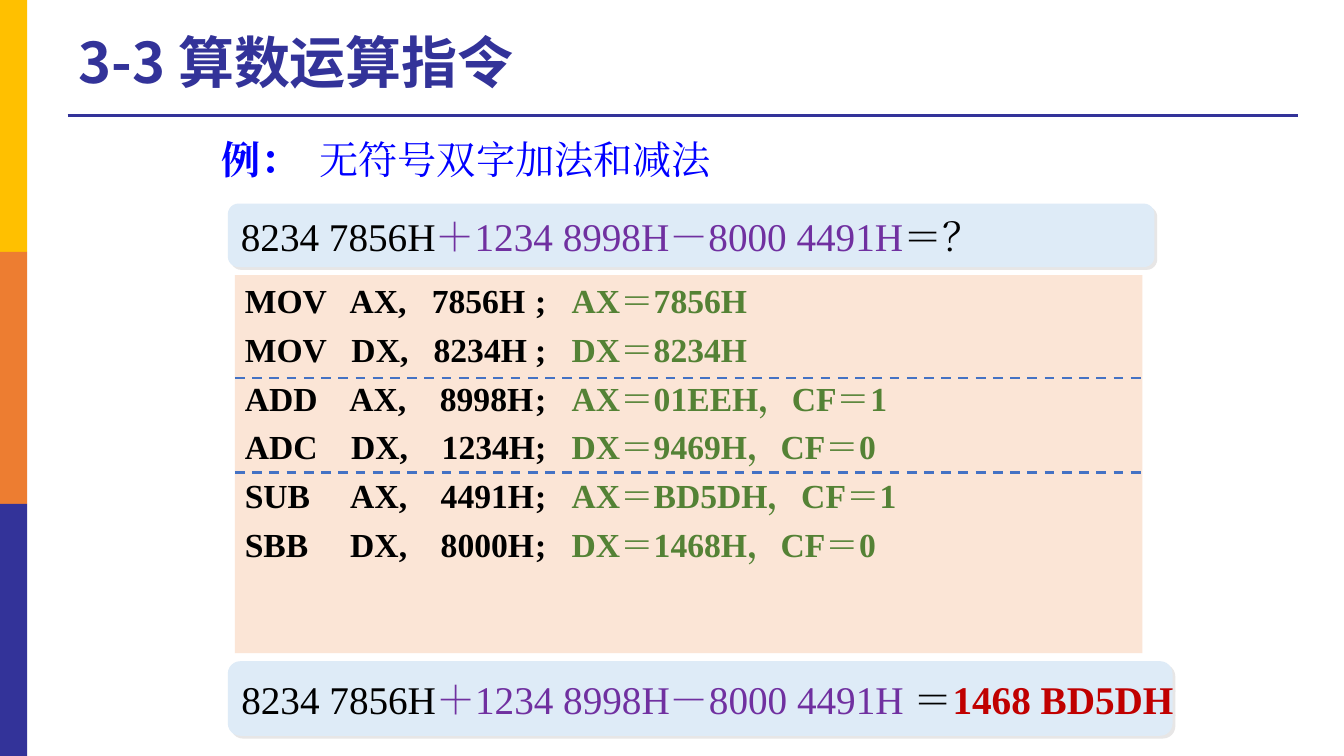
from lxml import etree
from pptx import Presentation
from pptx.dml.color import RGBColor
from pptx.enum.dml import MSO_LINE
from pptx.enum.shapes import MSO_CONNECTOR, MSO_SHAPE
from pptx.enum.text import MSO_ANCHOR, PP_ALIGN
from pptx.oxml.ns import qn
from pptx.util import Inches, Pt

RECT, ROUNDED = MSO_SHAPE.RECTANGLE, MSO_SHAPE.ROUNDED_RECTANGLE
STRAIGHT, DASH = MSO_CONNECTOR.STRAIGHT, MSO_LINE.DASH
MIDDLE, TOP, LEFT = MSO_ANCHOR.MIDDLE, MSO_ANCHOR.TOP, PP_ALIGN.LEFT

# Content
SERIF, SANS = "Times New Roman", "Noto Sans CJK SC"
NAVY, BLUE, BLACK = "333399", "0000FF", "000000"
PURPLE, GREEN, RED = "7030A0", "548235", "C00000"
SIDE_COLORS = ["FFC000", "ED7D31", NAVY]
TITLE = "3-3 算数运算指令"
EXAMPLE = [("例：  ", BLUE, True), ("无符号双字加法和减法", BLUE, False)]
QUESTION = [("8234 7856H", BLACK, False),
            ("＋1234 8998H－8000 4491H", PURPLE, False),
            ("＝？", BLACK, False)]
ANSWER = [("8234 7856H", BLACK, False),
          ("＋1234 8998H－8000 4491H ", PURPLE, False),
          ("＝", BLACK, False), ("1468 BD5DH", RED, True)]
PROGRAM = [
    ("MOV   AX,   7856H", "AX＝7856H"),
    ("MOV   DX,   8234H", "DX＝8234H"),
    ("ADD    AX,    8998H", "AX＝01EEH，CF＝1"),
    ("ADC    DX,    1234H", "DX＝9469H，CF＝0"),
    ("SUB     AX,    4491H", "AX＝BD5DH，CF＝1"),
    ("SBB     DX,    8000H", "DX＝1468H，CF＝0"),
]
CODE_LEFT, CODE_TOP, CODE_WIDTH, CODE_HEIGHT = 2.33, 2.73, 9, 3.75
DIVIDERS = [3.75, 4.69]


def color(hex_string):
    return RGBColor.from_string(hex_string)


def set_font(para, name, size):
    para.font.name, para.font.size = name, Pt(size)
    defaults = para._p.pPr.find(qn("a:defRPr"))
    etree.SubElement(defaults, qn("a:ea"), typeface=name)


def write(para, spans, size):
    para.alignment = LEFT
    set_font(para, SERIF, size)
    for text, hex_string, bold in spans:
        span = para.add_run()
        span.text = text
        span.font.bold = bold
        span.font.color.rgb = color(hex_string)


def add_block(page, kind, left, top, width, height, fill):
    block = page.shapes.add_shape(kind, Inches(left), Inches(top),
                                  Inches(width), Inches(height))
    block.shadow.inherit = False
    block.fill.solid()
    block.fill.fore_color.rgb = color(fill)
    block.line.fill.background()
    return block


def add_formula(page, top, width, height, spans):
    box = add_block(page, ROUNDED, 2.26, top, width, height, "DEEBF7")
    effects = box._element.spPr.find(qn("a:effectLst"))
    shadow = etree.SubElement(effects, qn("a:outerShdw"), dist=str(Pt(2.8)),
                              dir="2700000", algn="ctr", rotWithShape="0")
    etree.SubElement(shadow, qn("a:srgbClr"), val="E7E6E6")
    box.text_frame.word_wrap = False
    box.text_frame.vertical_anchor = MIDDLE
    write(box.text_frame.paragraphs[0], spans, 28)


def add_rule(page, left, right, y, hex_string, width):
    rule = page.shapes.add_connector(STRAIGHT, Inches(left), Inches(y),
                                     Inches(right), Inches(y))
    rule.line.color.rgb = color(hex_string)
    rule.line.width = Pt(width)
    etree.SubElement(rule._element.spPr, qn("a:effectLst"))
    return rule


def main():
    deck = Presentation()
    deck.slide_width, deck.slide_height = Inches(13.33), Inches(7.5)
    page = deck.slides.add_slide(deck.slide_layouts[5])

    # Frame: title rule and side bands
    add_rule(page, 0.67, 12.87, 1.15, NAVY, 2.25)
    for index, fill in enumerate(SIDE_COLORS):
        add_block(page, RECT, 0, index * 2.5, 0.27, 2.5, fill)

    # Title
    title = page.shapes.title
    title.left, title.top = Inches(0.68), Inches(0.21)
    title.width, title.height = Inches(9.91), Inches(0.87)
    title.text_frame.text = TITLE
    title.text_frame.vertical_anchor = MIDDLE
    para = title.text_frame.paragraphs[0]
    para.alignment, para.line_spacing = LEFT, 0.9
    set_font(para, SANS, 40)
    para.font.bold = True
    para.font.color.rgb = color(NAVY)

    # Example heading
    heading = page.shapes.add_textbox(Inches(2.1), Inches(1.29),
                                      Inches(5.1), Inches(0.57))
    heading.text_frame.word_wrap = False
    write(heading.text_frame.paragraphs[0], EXAMPLE, 28)

    # Program listing with dashed dividers
    listing = add_block(page, RECT, CODE_LEFT, CODE_TOP,
                        CODE_WIDTH, CODE_HEIGHT, "FBE5D6")
    frame = listing.text_frame
    frame.vertical_anchor = TOP
    for index, (code, result) in enumerate(PROGRAM):
        para = frame.add_paragraph() if index else frame.paragraphs[0]
        props = para._p.get_or_add_pPr()
        props.set("marL", str(Inches(0.38)))
        props.set("indent", str(Inches(-0.38)))
        if index:
            para.space_before = Pt(6)
        write(para, [(code + "\t;   ", BLACK, True), (result, GREEN, True)], 24)
    for y in DIVIDERS:
        divider = add_rule(page, CODE_LEFT, CODE_LEFT + CODE_WIDTH, y, "4472C4", 1.75)
        divider.line.dash_style = DASH

    # Question and answer
    add_formula(page, 2.02, 9.19, 0.63, QUESTION)
    add_formula(page, 6.56, 9.37, 0.74, ANSWER)

    deck.save("out.pptx")


if __name__ == "__main__":
    main()
